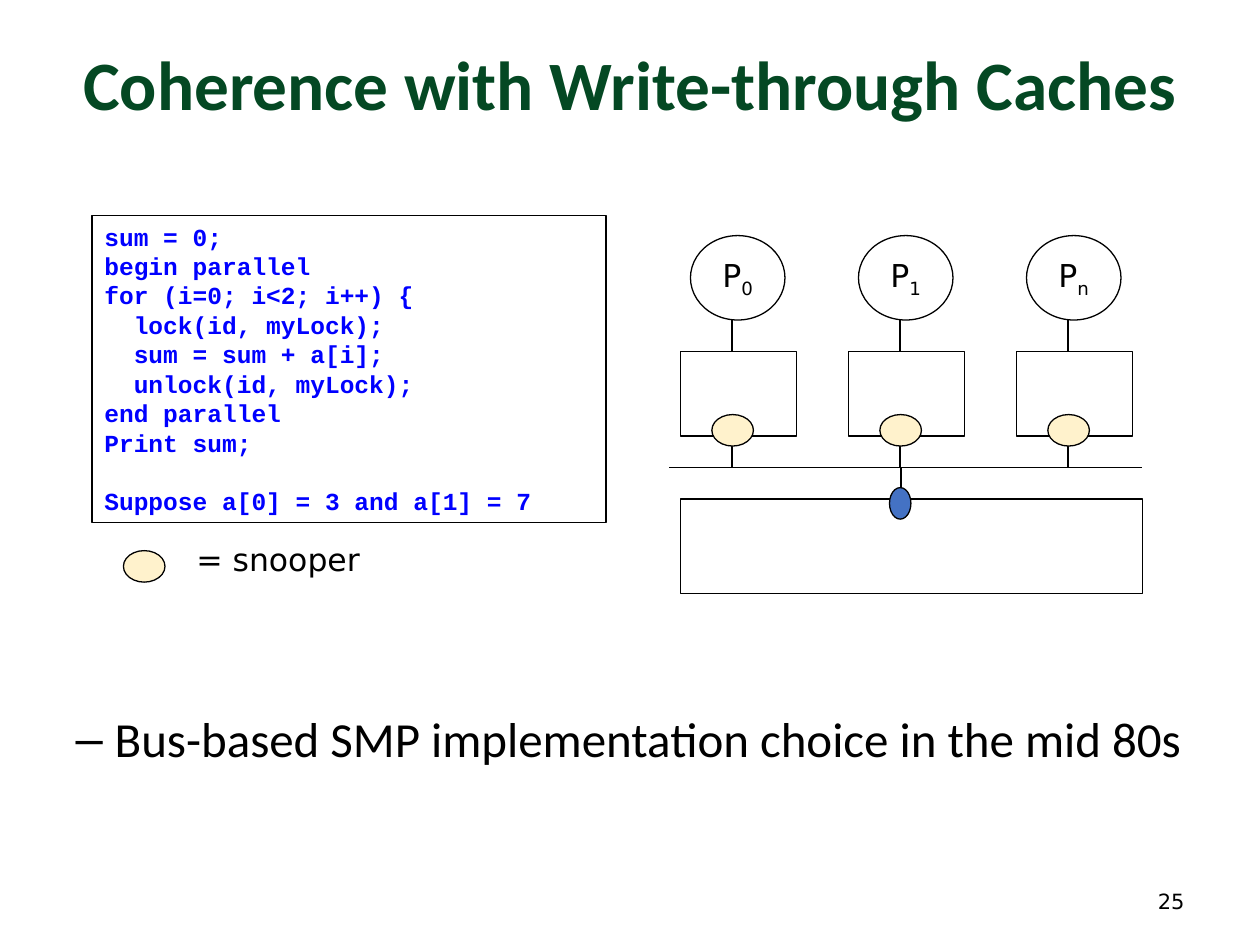
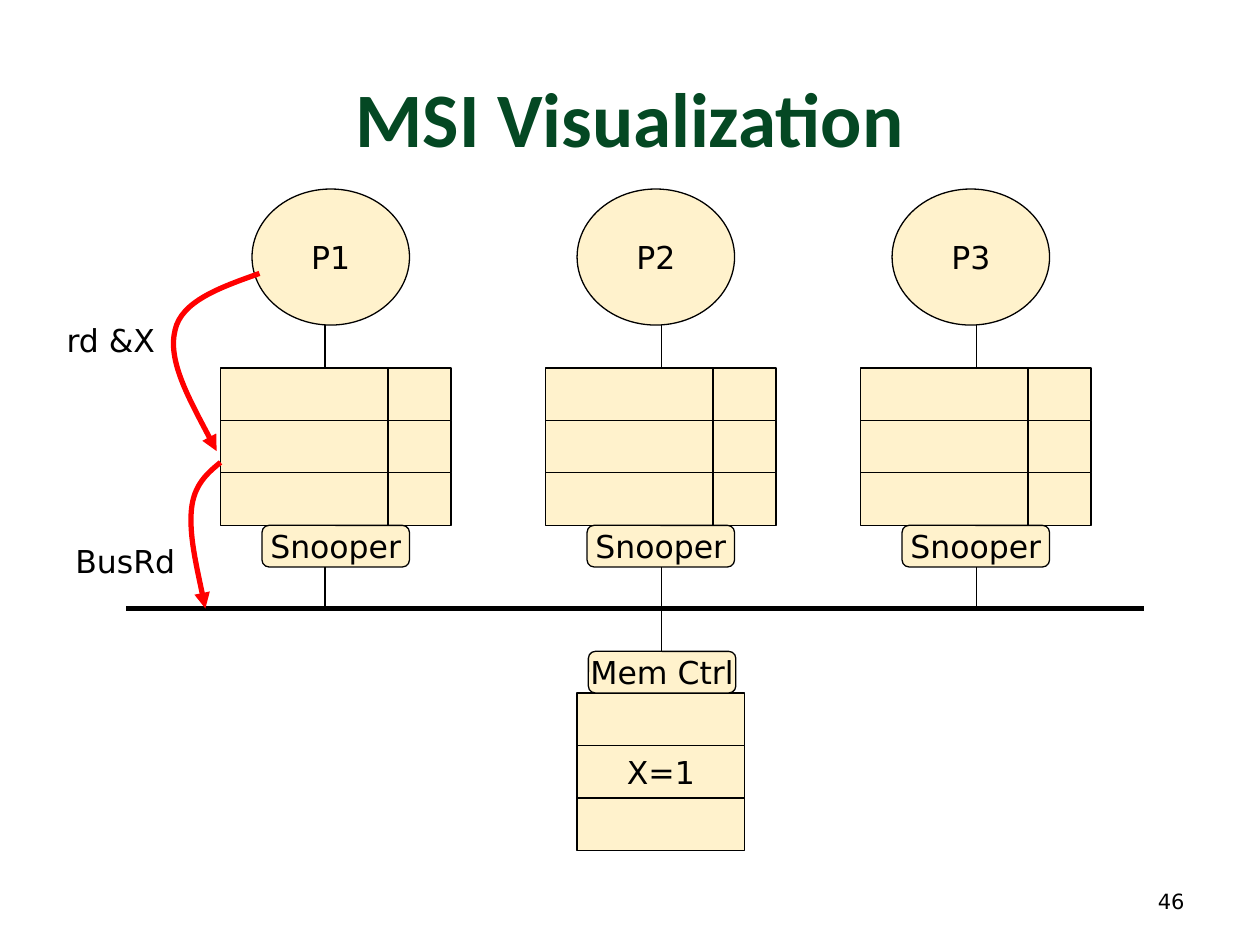
import pptx
import pptx.dml.color
import pptx.enum.shapes
import pptx.enum.text
import pptx.oxml
import pptx.oxml.ns
import pptx.util

Inches, Pt = pptx.util.Inches, pptx.util.Pt
RGBColor = pptx.dml.color.RGBColor
SHAPE = pptx.enum.shapes.MSO_SHAPE
ALIGN = pptx.enum.text.PP_ALIGN
ANCHOR = pptx.enum.text.MSO_ANCHOR
qn = pptx.oxml.ns.qn

# Colours and text formats
BLACK = RGBColor(0x00, 0x00, 0x00)
GREEN = RGBColor(0x04, 0x48, 0x23)
CREAM = RGBColor(0xFF, 0xF2, 0xCC)
BLUE = RGBColor(0x44, 0x72, 0xC4)
CODE_BLUE = RGBColor(0x00, 0x00, 0xFF)
RED = RGBColor(0xFF, 0x00, 0x00)

LABEL = {"name": "DejaVu Sans", "size": Pt(18), "color": BLACK}
NUMBER = {**LABEL, "size": Pt(12)}
TITLE = {"name": "Calibri", "size": Pt(44), "bold": True, "color": GREEN}
BODY = {"name": "Calibri", "size": Pt(28), "color": BLACK}
CODE = {"name": "Courier New", "size": Pt(14), "bold": True, "color": CODE_BLUE}
BODY_PARAGRAPH = {"level": 1, "line_spacing": 1.25,
                  "space_before": Pt(6), "space_after": Pt(6)}

# Content: write-through caches
COHERENCE_TITLE = "Coherence with Write-through Caches"
COHERENCE_BODY = "Bus-based SMP implementation choice in the mid 80s"
CODE_LINES = [
    "sum = 0;",
    "begin parallel",
    "for (i=0; i<2; i++) {",
    "  lock(id, myLock);",
    "  sum = sum + a[i];",
    "  unlock(id, myLock);",
    "end parallel",
    "Print sum;",
    "Suppose a[0] = 3 and a[1] = 7",
]
PROCESSOR_INDEXES = ["0", "1", "n"]
SNOOPER_KEY = "= snooper"

# Content: MSI diagram
MSI_TITLE = "MSI Visualization"
PROCESSORS = [("P1", 1.75, 2.58), ("P2", 4.33, 5.25), ("P3", 6.83, 7.75)]  # name, cache x, link x
MEMORY_ROWS = ["", "X=1", ""]
REQUESTS = [  # label, label box, start of curve, control and end points
    ("rd &X", (0.43, 2.5, 0.91, 0.4), (2.06, 2.17),
     [(1.75, 2.28), (1.44, 2.39), (1.39, 2.62), (1.33, 2.86), (1.53, 3.22), (1.72, 3.58)]),
    ("BusRd", (0.5, 4.25, 0.99, 0.4), (1.75, 3.67),
     [(1.64, 3.76), (1.54, 3.85), (1.52, 4.04), (1.5, 4.24), (1.57, 4.54), (1.63, 4.83)]),
]


# Shared helpers
def box(at):
    return [Inches(v) for v in at]


def add_run(p, text, fmt):
    r = p.add_run()
    r.text = text
    for key, value in fmt.items():
        if key == "color":
            r.font.color.rgb = value
        else:
            setattr(r.font, key, value)
    return r


def add_text(s, at, text, fmt=LABEL, align=ALIGN.LEFT, anchor=ANCHOR.TOP, wrap=False):
    tf = s.shapes.add_textbox(*box(at)).text_frame
    tf.word_wrap, tf.vertical_anchor = wrap, anchor
    tf.paragraphs[0].alignment = align
    add_run(tf.paragraphs[0], text, fmt)


def add_shape(s, kind, at, fill=CREAM, text=""):
    sp = s.shapes.add_shape(kind, *box(at))
    sp.shadow.inherit = False
    if fill is None:
        sp.fill.background()
    else:
        sp.fill.solid()
        sp.fill.fore_color.rgb = fill
    sp.line.color.rgb, sp.line.width = BLACK, Pt(0.75)
    if text:
        tf = sp.text_frame
        tf.word_wrap, tf.vertical_anchor = False, ANCHOR.MIDDLE
        tf.paragraphs[0].alignment = ALIGN.CENTER
        add_run(tf.paragraphs[0], text, LABEL)
    return sp


def add_line(s, x1, y1, x2, y2, width=0.75):
    line = s.shapes.add_connector(pptx.enum.shapes.MSO_CONNECTOR.STRAIGHT,
                                  *box((x1, y1, x2, y2)))
    line.line.color.rgb, line.line.width = BLACK, Pt(width)
    pptx.oxml.ns  # namespace map used by qn
    line._element.spPr.append(line._element.makeelement(qn("a:effectLst")))


def add_curved_arrow(s, start, points):
    builder = s.shapes.build_freeform(*box(start), scale=1.0)
    builder.add_line_segments([box(point) for point in points], close=False)
    sp = builder.convert_to_shape()
    sp.shadow.inherit = False
    sp.fill.background()
    sp.line.color.rgb, sp.line.width = RED, Pt(3)
    # Each three straight segments become one Bezier segment
    segments = list(sp._element.iter(qn("a:lnTo")))
    for i in range(0, len(segments), 3):
        curve = sp._element.makeelement(qn("a:cubicBezTo"))
        segments[i].addprevious(curve)
        for segment in segments[i:i + 3]:
            curve.append(segment[0])
            segment.getparent().remove(segment)
    ln = sp.line._get_or_add_ln()
    ln.append(ln.makeelement(qn("a:tailEnd"), {"type": "triangle"}))


def add_cells(s, x, y, widths, rows):
    height = 1.25 / 3
    for i, text in enumerate(rows):
        left = x
        for width in widths:
            add_shape(s, SHAPE.RECTANGLE, (left, y + i * height, width, height), text=text)
            left += width


def add_controller(s, x, y, text):
    add_shape(s, SHAPE.ROUNDED_RECTANGLE, (x, y, 1.17, 0.33), text=text)


def fill_placeholder(ph, at, text, fmt):
    ph.left, ph.top, ph.width, ph.height = box(at)
    tf = ph.text_frame
    tf.auto_size = pptx.enum.text.MSO_AUTO_SIZE.NONE
    add_run(tf.paragraphs[0], text, fmt)
    return tf


def new_slide(prs, layout, title, top, size, number):
    s = prs.slides.add_slide(prs.slide_layouts[layout])
    tf = fill_placeholder(s.shapes.title, (0.5, top, 9, 1.25), title,
                          {**TITLE, "size": Pt(size)})
    tf.vertical_anchor = ANCHOR.MIDDLE
    tf.paragraphs[0].alignment = ALIGN.CENTER
    add_text(s, (7.17, 6.95, 2.33, 0.4), number, NUMBER, ALIGN.RIGHT, ANCHOR.MIDDLE, True)
    return s


def build_coherence(prs):
    s = new_slide(prs, 1, COHERENCE_TITLE, 0.03, 39.6, "25")

    # Dashed list item
    tf = fill_placeholder(s.placeholders[1], (0, 5.46, 9.58, 0.75), COHERENCE_BODY, BODY)
    p = tf.paragraphs[0]
    for key, value in BODY_PARAGRAPH.items():
        setattr(p, key, value)
    pPr = p._p.get_or_add_pPr()
    pPr.set("marL", str(Inches(0.81)))
    pPr.set("indent", str(Inches(-0.31)))
    pPr.append(pPr.makeelement(qn("a:buChar"), {"char": "–"}))

    # Code listing, its last line set apart
    tf = add_shape(s, SHAPE.RECTANGLE, (0.73, 1.71, 4.08, 2.44), None).text_frame
    tf.vertical_anchor = ANCHOR.TOP
    for i, code in enumerate(CODE_LINES):
        p = tf.add_paragraph() if i else tf.paragraphs[0]
        p.alignment = ALIGN.LEFT
        add_run(p, code, CODE)
    p.space_before = Pt(16.8)

    # Bus and memory
    add_shape(s, SHAPE.RECTANGLE, (5.4, 3.96, 3.67, 0.75), None)
    add_line(s, 5.31, 3.71, 9.06, 3.71)

    # Processors, caches and snoopers
    for i, index in enumerate(PROCESSOR_INDEXES):
        x = 5.4 + i * 4 / 3
        link = x + 0.41
        sp = add_shape(s, SHAPE.OVAL, (x + 0.08, 1.87, 0.75, 0.67), None, "P")
        r = add_run(sp.text_frame.paragraphs[0], index, LABEL)
        r._r.get_or_add_rPr().set("baseline", "-25000")
        add_shape(s, SHAPE.RECTANGLE, (x, 2.79, 0.92, 0.67), None)
        add_line(s, link, 2.54, link, 2.79)
        add_line(s, link, 3.46, link, 3.71)
        add_shape(s, SHAPE.OVAL, (x + 0.25, 3.29, 0.33, 0.25))

    # Memory link and key
    add_line(s, 7.15, 3.71, 7.15, 3.96)
    add_shape(s, SHAPE.OVAL, (7.06, 3.87, 0.17, 0.25), BLUE)
    add_shape(s, SHAPE.OVAL, (0.98, 4.37, 0.33, 0.25))
    add_text(s, (1.46, 4.24, 1.5, 0.4), SNOOPER_KEY)


def build_msi(prs):
    s = new_slide(prs, 5, MSI_TITLE, 0.3, 44, "46")

    # Processors, caches and snoopers on the bus
    for name, x, link in PROCESSORS:
        add_shape(s, SHAPE.OVAL, (x + 0.25, 1.5, 1.25, 1.08), text=name)
        add_line(s, link, 2.58, link, 2.92)
        add_cells(s, x, 2.92, (1.33, 0.5), [""] * 3)
        add_controller(s, x + 0.33, 4.17, "Snooper")
        add_line(s, link, 4.5, link, 4.83)
    add_line(s, 1, 4.83, 9.08, 4.83, 3.25)

    # Memory
    add_line(s, 5.25, 4.83, 5.25, 5.17)
    add_cells(s, 4.58, 5.5, (1.33,), MEMORY_ROWS)
    add_controller(s, 4.67, 5.17, "Mem Ctrl")

    # Read request and the bus transaction it causes
    for label, at, start, points in REQUESTS:
        add_text(s, at, label)
        add_curved_arrow(s, start, points)


def main():
    prs = pptx.Presentation()
    prs.slide_width, prs.slide_height = Inches(10), Inches(7.5)
    build_coherence(prs)
    build_msi(prs)
    prs.save("out.pptx")


if __name__ == "__main__":
    main()
